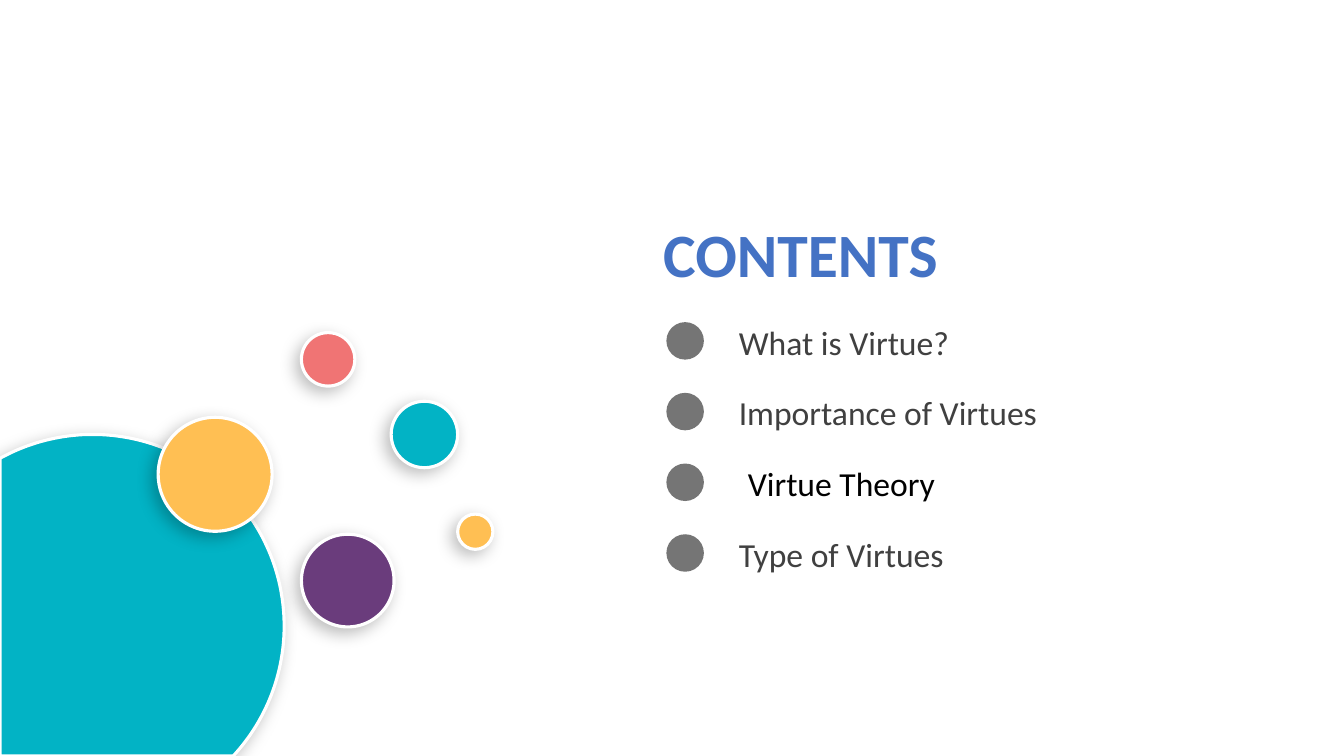
import math

from lxml import etree
from pptx import Presentation
from pptx.dml.color import RGBColor
from pptx.enum import shapes, text
from pptx.oxml import ns
from pptx.util import Pt

WHITE = RGBColor(0xFF, 0xFF, 0xFF)
BLACK = RGBColor(0x00, 0x00, 0x00)
GRAY = RGBColor(0x40, 0x40, 0x40)
BLUE = RGBColor(0x44, 0x72, 0xC4)
TEAL = RGBColor(0x02, 0xB3, 0xC5)
PURPLE = RGBColor(0x6A, 0x3C, 0x7C)
AMBER = RGBColor(0xFF, 0xBF, 0x53)
CORAL = RGBColor(0xF0, 0x74, 0x74)

PAGE_WIDTH, PAGE_HEIGHT = 960, 540

# Left, top, diameter and colour of each bubble, from back to front
BUBBLES = [
    (215.3, 381.6, 66.2, PURPLE),
    (279.4, 286.6, 47.5, TEAL),
    (113, 298.1, 81.4, AMBER),
    (215.3, 237.6, 38.2, CORAL),
    (326.9, 367.2, 25.2, AMBER),
]

# Wording, indent and colour of each entry
ENTRIES = [
    ("What is Virtue?", 0, GRAY),
    ("Importance of Virtues", 0, GRAY),
    ("Virtue Theory", 6.5, BLACK),
    ("Type of Virtues", 0, GRAY),
]


def add_text(page, wording, left, top, width, height, *, size, color, bold=False):
    box = page.shapes.add_textbox(Pt(left), Pt(top), Pt(width), Pt(height))
    frame = box.text_frame
    frame.word_wrap = True
    frame.auto_size = text.MSO_AUTO_SIZE.SHAPE_TO_FIT_TEXT
    span = frame.paragraphs[0].add_run()
    span.text = wording
    span.font.name = "Calibri"
    span.font.size = Pt(size)
    span.font.bold = bold
    span.font.color.rgb = color


def add_circle(page, left, top, diameter, color):
    circle = page.shapes.add_shape(
        shapes.MSO_SHAPE.OVAL, Pt(left), Pt(top), Pt(diameter), Pt(diameter))
    circle.shadow.inherit = False
    circle.fill.solid()
    circle.fill.fore_color.rgb = color
    circle.line.fill.background()
    return circle


def set_alpha(color_element, percent):
    alpha = etree.SubElement(color_element, ns.qn("a:alpha"))
    alpha.set("val", str(percent * 1000))


def style_bubble(bubble, color):
    """White rim and a soft shadow towards the lower left."""
    bubble.fill.solid()
    bubble.fill.fore_color.rgb = color
    bubble.line.color.rgb = WHITE
    bubble.line.width = Pt(2.25)
    bubble.shadow.inherit = False
    effects = bubble.element.spPr.find(ns.qn("a:effectLst"))
    shadow = etree.SubElement(
        effects, ns.qn("a:outerShdw"), blurRad=str(Pt(12)), dist=str(Pt(5)),
        dir=str(135 * 60000), algn="tr", rotWithShape="0")
    set_alpha(etree.SubElement(shadow, ns.qn("a:srgbClr"), val="000000"), 26)


def add_corner_disc(page, center_x, center_y, radius):
    """Disc cut off by the left and bottom edges of the page."""
    start = math.pi + math.acos(center_x / radius)
    end = 2 * math.pi + math.asin((PAGE_HEIGHT - center_y) / radius)
    steps = 120
    angles = [start + (end - start) * step / steps for step in range(steps + 1)]
    rim = [(Pt(center_x + radius * math.cos(angle)),
            Pt(center_y + radius * math.sin(angle))) for angle in angles]
    builder = page.shapes.build_freeform(Pt(0), Pt(PAGE_HEIGHT))
    builder.add_line_segments(rim, close=True)
    style_bubble(builder.convert_to_shape(), TEAL)


def add_bubbles(page, left, top):
    add_corner_disc(page, left + 66.2, top + 447.1, 136.8)
    for x, y, diameter, color in BUBBLES:
        style_bubble(add_circle(page, left + x, top + y, diameter, color), color)


def add_contents(page, left, top):
    add_text(page, "CONTENTS", left, top, 271.4, 60.5,
             size=44, color=BLUE, bold=True)
    pitch = 50.5
    for row, (wording, indent, color) in enumerate(ENTRIES):
        row_top = top + 75.6 + row * pitch
        # Translucent marker
        marker = add_circle(page, left + 9.4, row_top + 4, 26.8, GRAY)
        set_alpha(marker.element.spPr.find(".//" + ns.qn("a:srgbClr")), 72)
        # Entry
        add_text(page, wording, left + 54 + indent, row_top, 334.8 - indent, 36,
                 size=24, color=color)


def main():
    deck = Presentation()
    deck.slide_width, deck.slide_height = Pt(PAGE_WIDTH), Pt(PAGE_HEIGHT)
    page = deck.slides.add_slide(deck.slide_layouts[6])
    add_bubbles(page, 0, 0)
    add_contents(page, 466.6, 150.5)
    deck.save("out.pptx")


if __name__ == "__main__":
    main()
